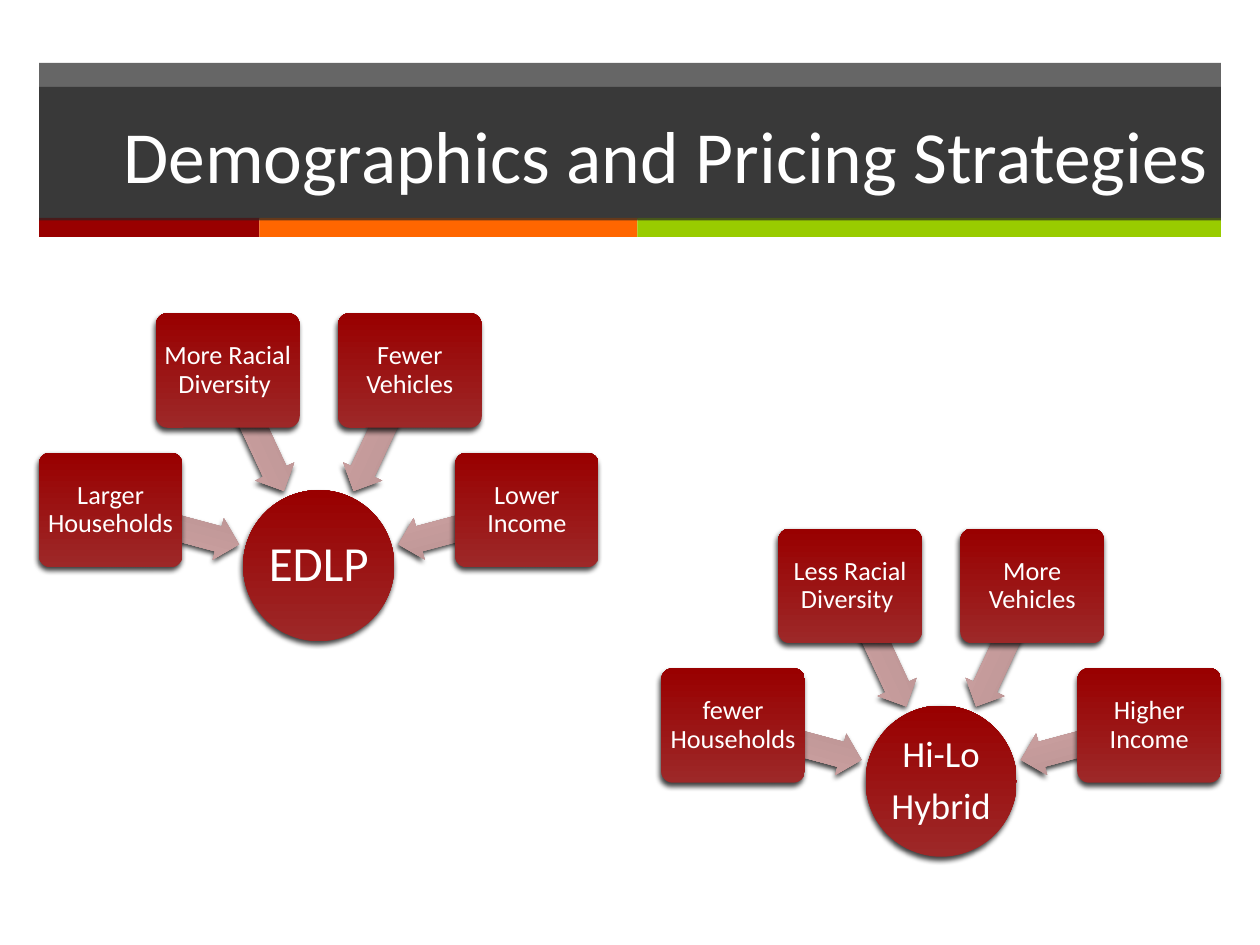
"""Build a slide that links household demographics to two pricing strategies."""
import math

import lxml.etree
import pptx
import pptx.dml.color
import pptx.enum.shapes
import pptx.enum.text
import pptx.oxml.ns
import pptx.util

Inches, Pt = pptx.util.Inches, pptx.util.Pt
RGB = pptx.dml.color.RGBColor
Kind = pptx.enum.shapes.MSO_SHAPE
Align = pptx.enum.text.PP_ALIGN
qn = pptx.oxml.ns.qn

WHITE = RGB(0xFF, 0xFF, 0xFF)
BLACK = RGB(0x00, 0x00, 0x00)
DARK = RGB(0x26, 0x26, 0x26)
RED = RGB(0x99, 0x00, 0x00)
BRICK = RGB(0x9D, 0x28, 0x28)
ORANGE = RGB(0xFF, 0x66, 0x00)
GREEN = RGB(0x99, 0xCC, 0x00)
ROSE = RGB(0xD2, 0xA4, 0xA4)
MAUVE = RGB(0xB6, 0x91, 0x91)

FONT = "Calibri"
TITLE = "Demographics and Pricing Strategies"
STRIPES = [(1.75, RED), (3, ORANGE), (4.63, GREEN)]
HUBS = [
    {"mid": (2.53, 4.49), "name": ["EDLP"], "size": 28, "inset": 0.02,
     "facts": ["Larger Households", "More Racial Diversity ",
               "Fewer Vehicles", "Lower Income"]},
    {"mid": (7.47, 6.2), "name": ["Hi-Lo", "Hybrid"], "size": 21, "inset": 0.01,
     "facts": ["fewer Households", "Less Racial Diversity ",
               "More Vehicles", "Higher Income"]},
]
LEFT, WIDTH = 0.31, 9.38
START, STEP = 195, 50
NEAR, FAR = 1.18, 1.71
HUB, ARROW, CARD = (1.2, 1.2), (1.05, 0.34), (1.14, 0.91)


def add(slide, kind, left, top, width, height):
    shape = slide.shapes.add_shape(
        kind, Inches(left), Inches(top), Inches(width), Inches(height))
    shape.shadow.inherit = False
    shape.line.fill.background()
    return shape


def paint(shape, color, alpha=None):
    shape.fill.solid()
    shape.fill.fore_color.rgb = color
    if alpha:
        node = shape.fill._xPr.find(".//" + qn("a:srgbClr"))
        lxml.etree.SubElement(node, qn("a:alpha"), val=str(alpha * 1000))


def shade(shape, low, high):
    shape.fill.gradient()
    shape.fill.gradient_angle = 90
    for stop, color in zip(shape.fill.gradient_stops, (low, high)):
        stop.color.rgb = color
    glow = shape._element.spPr.find(qn("a:effectLst"))
    drop = lxml.etree.SubElement(
        glow, qn("a:outerShdw"), blurRad=str(Pt(3)), dist=str(Pt(2)),
        dir=str(110 * 60000), rotWithShape="0")
    tint = lxml.etree.SubElement(drop, qn("a:srgbClr"), val=str(BLACK))
    lxml.etree.SubElement(tint, qn("a:alpha"), val="75000")


def write(shape, lines, size, align=Align.CENTER):
    frame = shape.text_frame
    frame.word_wrap = True
    frame.vertical_anchor = pptx.enum.text.MSO_ANCHOR.MIDDLE
    frame.text = "\n".join(lines)
    for para in frame.paragraphs:
        para.alignment = align
        para.font.name = FONT
        para.font.size = Pt(size)
        para.font.color.rgb = WHITE


def label(shape, lines, size, inset):
    write(shape, lines, size)
    frame = shape.text_frame
    frame.margin_left = frame.margin_right = Inches(inset)
    frame.margin_top = frame.margin_bottom = Inches(inset)
    for para in frame.paragraphs:
        para.line_spacing = 0.9
        para.space_after = Pt(round(size * 0.35))


def center(slide, kind, mid, size, reach=0, angle=0):
    turn = math.radians(angle)
    left = mid[0] + reach * math.cos(turn) - size[0] / 2
    top = mid[1] + reach * math.sin(turn) - size[1] / 2
    return add(slide, kind, left, top, *size)


def draw(slide, hub):
    mid = hub["mid"]
    disc = center(slide, Kind.OVAL, mid, HUB)
    shade(disc, BRICK, RED)
    label(disc, hub["name"], hub["size"], hub["inset"])
    for i, fact in enumerate(hub["facts"]):
        angle = START + i * STEP
        arrow = center(slide, Kind.LEFT_ARROW, mid, ARROW, NEAR, angle)
        arrow.rotation = angle
        arrow.adjustments[0] = 0.6
        shade(arrow, MAUVE, ROSE)
        card = center(slide, Kind.ROUNDED_RECTANGLE, mid, CARD, FAR, angle)
        card.adjustments[0] = 0.1
        shade(card, BRICK, RED)
        label(card, [fact], 15, 0.03)


def main():
    deck = pptx.Presentation()
    deck.slide_width, deck.slide_height = Inches(10), Inches(7.5)
    slide = deck.slides.add_slide(deck.slide_layouts[6])
    paint(add(slide, Kind.RECTANGLE, LEFT, 0.5, WIDTH, 1.24), DARK, 70)
    left = LEFT
    for width, color in STRIPES:
        paint(add(slide, Kind.RECTANGLE, left, 1.73, width, 0.15), color)
        left += width
    title = add(slide, Kind.RECTANGLE, LEFT, 0.69, WIDTH, 1.06)
    paint(title, DARK, 70)
    write(title, [TITLE], 42, Align.RIGHT)
    for hub in HUBS:
        draw(slide, hub)
    deck.save("out.pptx")


if __name__ == "__main__":
    main()
